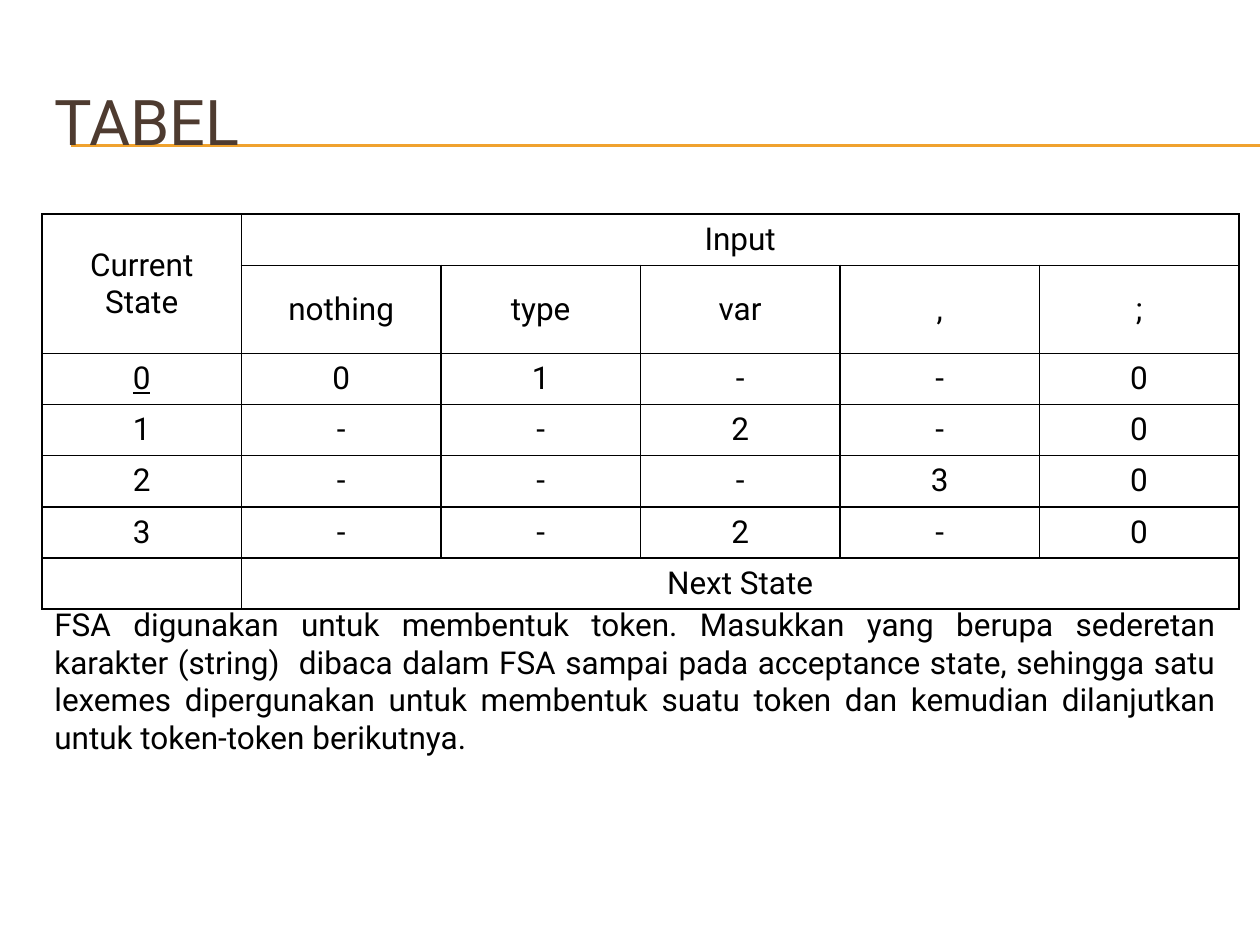
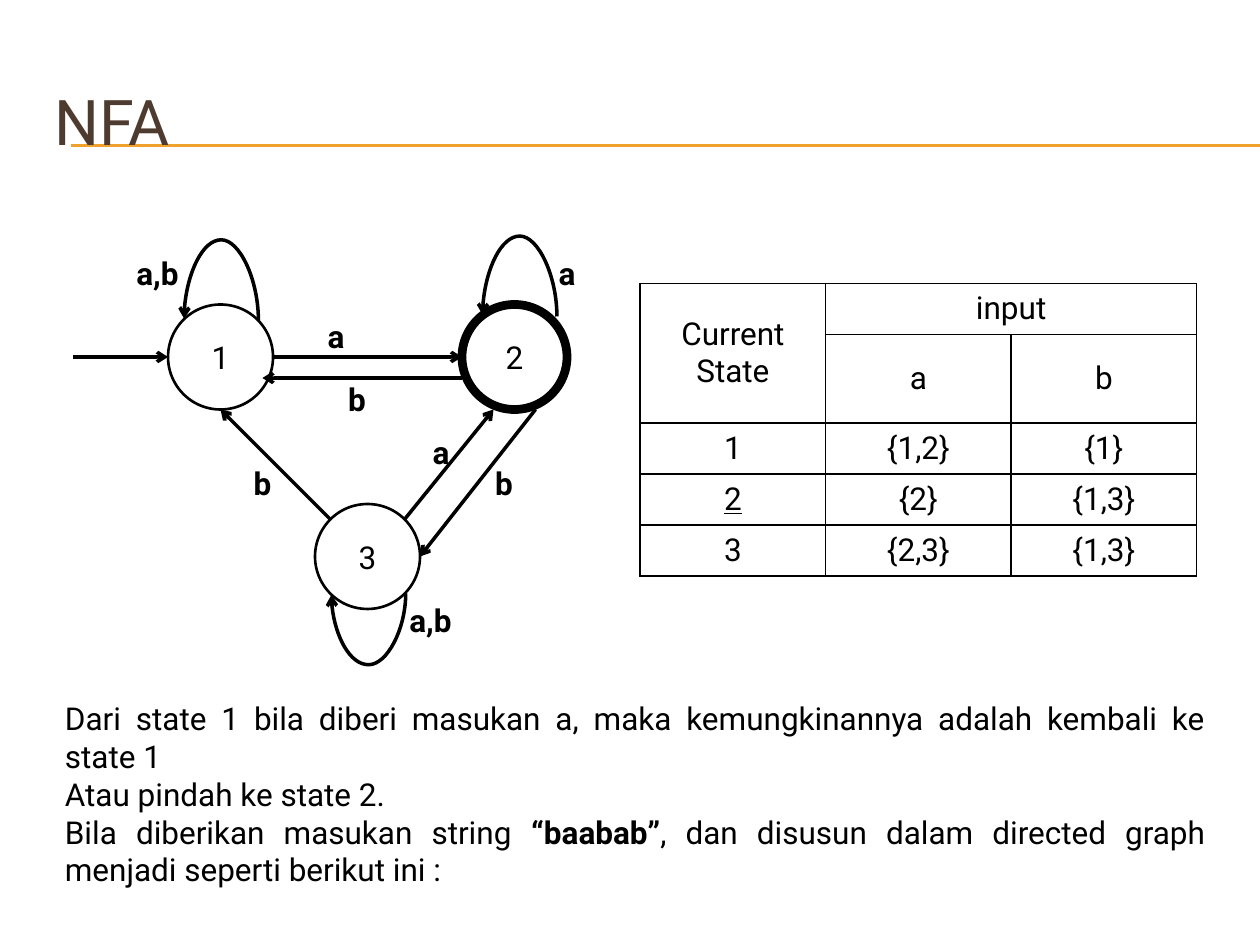
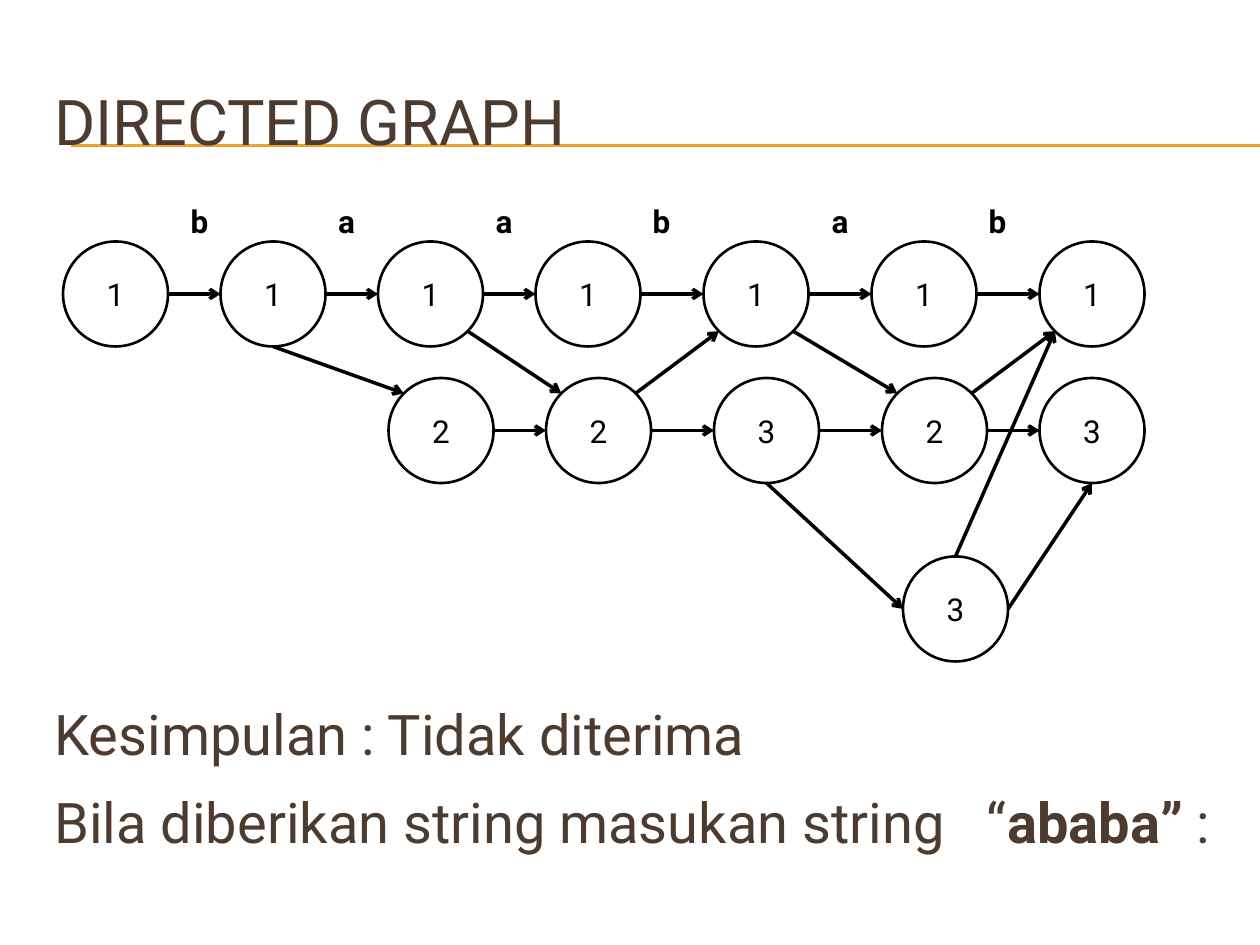
import math

import pptx
import pptx.util
import pptx.dml.color
import pptx.enum.shapes
import pptx.enum.text
import pptx.oxml
import pptx.oxml.ns

Pt = pptx.util.Pt
ALIGN = pptx.enum.text.PP_ALIGN
MIDDLE = pptx.enum.text.MSO_ANCHOR.MIDDLE
CONNECTOR = pptx.enum.shapes.MSO_CONNECTOR
qn = pptx.oxml.ns.qn

COLORS = {"ink": "000000", "heading": "4E3B30", "rule": "F0A22E", "paper": "FFFFFF"}
FONT = "Roboto"
RADIUS = 30
DIAGONAL = RADIUS * math.sqrt(0.5)
SIDES = {
    "n": (0, -RADIUS), "s": (0, RADIUS), "w": (-RADIUS, 0), "e": (RADIUS, 0),
    "nw": (-DIAGONAL, -DIAGONAL), "ne": (DIAGONAL, -DIAGONAL),
    "sw": (-DIAGONAL, DIAGONAL), "se": (DIAGONAL, DIAGONAL),
}


def color(name):
    return pptx.dml.color.RGBColor.from_string(COLORS[name])


def xml(markup):
    return pptx.oxml.parse_xml(markup.replace(" ", f" {pptx.oxml.ns.nsdecls('a')} ", 1))


def write(frame, paragraphs, size=18, ink="ink", bold=False, underline=False,
          align=ALIGN.CENTER, anchor=MIDDLE, before=(), hanging=0):
    frame.word_wrap = True
    if anchor is not None:
        frame.vertical_anchor = anchor
    if isinstance(paragraphs, str):
        paragraphs = [paragraphs]
    for index, runs in enumerate(paragraphs):
        paragraph = frame.add_paragraph() if index else frame.paragraphs[0]
        paragraph.alignment = align
        if before:
            paragraph.space_before = Pt(before[index])
        if hanging:
            properties = paragraph._p.get_or_add_pPr()
            properties.set("marL", str(Pt(hanging)))
            properties.set("indent", str(-Pt(hanging)))
        for words, strong in [(runs, bold)] if isinstance(runs, str) else runs:
            run = paragraph.add_run()
            run.text = words
            run.font.name = FONT
            run.font.size = Pt(size)
            run.font.bold = strong
            run.font.underline = underline
            run.font.color.rgb = color(ink)


def add_text(slide, box, paragraphs, **style):
    frame = slide.shapes.add_textbox(*map(Pt, box)).text_frame
    write(frame, paragraphs, **style)


def add_line(slide, start, end, ink="ink", width=2, kind=CONNECTOR.STRAIGHT):
    line = slide.shapes.add_connector(kind, *map(Pt, (*start, *end)))
    line.line.color.rgb = color(ink)
    line.line.width = Pt(width)
    line._element.spPr.append(xml("<a:effectLst />"))
    return line


def add_arrow(slide, start, end, kind=CONNECTOR.STRAIGHT):
    arrow = add_line(slide, start, end, kind=kind)
    arrow.line._get_or_add_ln().append(xml('<a:tailEnd type="arrow"/>'))
    return arrow


def add_loop(slide, center, reach, above=True):
    x, y = center
    half_span = 21.25
    loop = add_arrow(slide, (x - 0.5, y - half_span), (x + 0.5, y + half_span), CONNECTOR.CURVE)
    loop.rotation = 270 if above else 90
    properties = loop._element.spPr
    if above:
        properties.find(qn("a:xfrm")).set("flipV", "1")
    geometry = properties.find(qn("a:prstGeom"))
    for guides in geometry.findall(qn("a:avLst")):
        geometry.remove(guides)
    geometry.append(xml(f'<a:avLst ><a:gd name="adj1" fmla="val {round(reach * 100000)}"/></a:avLst>'))


def add_state(slide, name, left, top, outline=1.5):
    state = slide.shapes.add_shape(
        pptx.enum.shapes.MSO_SHAPE.FLOWCHART_CONNECTOR,
        *map(Pt, (left, top, 2 * RADIUS, 2 * RADIUS)))
    state.shadow.inherit = False
    state.fill.solid()
    state.fill.fore_color.rgb = color("paper")
    state.line.color.rgb = color("ink")
    state.line.width = Pt(outline)
    write(state.text_frame, name)
    return left + RADIUS, top + RADIUS


def rim(center, side):
    return tuple(c + d for c, d in zip(center, SIDES[side]))


def add_letter(slide, letter, left, top):
    add_text(slide, (left, top, 60, 36), letter, bold=True)


def add_transitions(slide, left, top, column_width, rows, merges, final_row):
    row_height = 29.2
    columns = len(rows[0])
    table = slide.shapes.add_table(
        len(rows), columns,
        *map(Pt, (left, top, column_width * columns, row_height * len(rows)))).table
    table.first_row = table.horz_banding = False
    for column in table.columns:
        column.width = Pt(column_width)
    for r, values in enumerate(rows):
        table.rows[r].height = Pt(row_height)
        for c, value in enumerate(values):
            cell = table.cell(r, c)
            properties = cell._tc.get_or_add_tcPr()
            for edge in ("lnL", "lnR", "lnT", "lnB"):
                properties.append(xml(
                    f'<a:{edge} w="{Pt(1)}"><a:solidFill><a:srgbClr val="{COLORS["ink"]}"/>'
                    f'</a:solidFill></a:{edge}>'))
            cell.fill.background()
            cell.vertical_anchor = MIDDLE
            if value:
                write(cell.text_frame, value, anchor=None, underline=(r, c) == (final_row, 0))
    for first, last in merges:
        table.cell(*first).merge(table.cell(*last))


def add_titled_slide(deck, title):
    slide = deck.slides.add_slide(deck.slide_layouts[6])
    for y in (82.8, 83.5):
        add_line(slide, (40.5, y), (720, y), ink="rule", width=0.75)
    add_text(slide, (24, 36, 684, 66), title, size=36, ink="heading", align=ALIGN.LEFT)
    return slide


def build_state_table(deck):
    slide = add_titled_slide(deck, "TABEL")
    rows = [
        ["Current State", "Input", "", "", "", ""],
        ["", "nothing", "type", "var", ",", ";"],
        ["0", "0", "1", "-", "-", "0"],
        ["1", "-", "-", "2", "-", "0"],
        ["2", "-", "-", "-", "3", "0"],
        ["3", "-", "-", "2", "-", "0"],
        ["", "Next State", "", "", "", ""],
    ]
    merges = [((0, 0), (1, 0)), ((0, 1), (0, 5)), ((6, 1), (6, 5))]
    add_transitions(slide, 24, 122.4, 114, rows, merges, final_row=2)
    add_text(slide, (24, 342, 678, 116.6),
             "FSA digunakan untuk membentuk token. Masukkan yang berupa sederetan karakter "
             "(string)  dibaca dalam FSA sampai pada acceptance state, sehingga satu lexemes "
             "dipergunakan untuk membentuk suatu token dan kemudian dilanjutkan untuk "
             "token-token berikutnya.",
             align=ALIGN.JUSTIFY, anchor=None)


def build_nfa(deck):
    slide = add_titled_slide(deck, "NFA")
    rows = [
        ["Current State", "input", ""],
        ["", "a", "b"],
        ["1", "{1,2}", "{1}"],
        ["2", "{2}", "{1,3}"],
        ["3", "{2,3}", "{1,3}"],
    ]
    merges = [((0, 0), (1, 0)), ((0, 1), (0, 2))]
    add_transitions(slide, 365.8, 162, 106, rows, merges, final_row=3)

    third = add_state(slide, "3", 180, 288)
    first = add_state(slide, "1", 96, 174)
    second = add_state(slide, "2", 264, 174, outline=5)
    for start, end in [
        ((42, 204), rim(first, "w")),
        (rim(first, "e"), rim(second, "w")),
        ((264, 216), (150, 216)),
        ((306, 234), rim(third, "e")),
        (rim(third, "ne"), (282, 234)),
        (rim(third, "nw"), rim(first, "s")),
    ]:
        add_arrow(slide, start, end)
    add_loop(slide, (126.4, 182.5), 46.33)
    add_loop(slide, (297, 180.4), 46.33)
    add_loop(slide, (210.6, 339.5), 41.19, above=False)
    for letter, left, top in [
        ("a,b", 60, 138), ("a,b", 216, 336), ("b", 120, 258), ("a", 162, 174),
        ("a", 222, 240), ("b", 258, 258), ("b", 174, 210), ("a", 294, 138),
    ]:
        add_letter(slide, letter, left, top)

    add_text(slide, (30, 396, 666, 94.3), [
        "Dari state 1 bila diberi masukan a, maka kemungkinannya adalah kembali ke state 1",
        "Atau pindah ke state 2.",
        [("Bila diberikan masukan string ", False), ("“baabab”", True),
         (", dan disusun dalam directed graph menjadi seperti berikut ini :", False)],
    ], align=ALIGN.JUSTIFY, anchor=None)


def build_directed_graph(deck):
    slide = add_titled_slide(deck, "DIRECTED GRAPH")
    add_text(slide, (24, 396, 684, 96), [
        "Kesimpulan : Tidak diterima",
        [("Bila diberikan string masukan string   “", False), ("ababa”", True), (" :", False)],
    ], size=32, ink="heading", align=ALIGN.LEFT, anchor=None, before=(3, 12), hanging=27)

    upper = [add_state(slide, "1", left, 138) for left in (36, 126, 216, 306, 402, 498, 594)]
    lower = [add_state(slide, name, left, 216)
             for name, left in zip("22323", (222, 312, 408, 504, 594))]
    last = add_state(slide, "3", 516, 318)

    for chain in (upper, lower):
        for source, target in zip(chain, chain[1:]):
            add_arrow(slide, rim(source, "e"), rim(target, "w"))
    for source, leaving, target, entering in [
        (upper[1], "s", lower[0], "nw"),
        (upper[2], "se", lower[1], "nw"),
        (lower[1], "ne", upper[4], "sw"),
        (upper[4], "se", lower[3], "nw"),
        (lower[3], "ne", upper[6], "sw"),
        (lower[2], "s", last, "w"),
        (last, "e", lower[4], "s"),
        (last, "n", upper[6], "sw"),
    ]:
        add_arrow(slide, rim(source, leaving), rim(target, entering))
    for letter, left in zip("baabab", (84, 168, 258, 348, 450, 540)):
        add_letter(slide, letter, left, 108)


def main():
    deck = pptx.Presentation()
    deck.slide_width, deck.slide_height = Pt(720), Pt(540)
    build_state_table(deck)
    build_nfa(deck)
    build_directed_graph(deck)
    deck.save("out.pptx")


if __name__ == "__main__":
    main()
